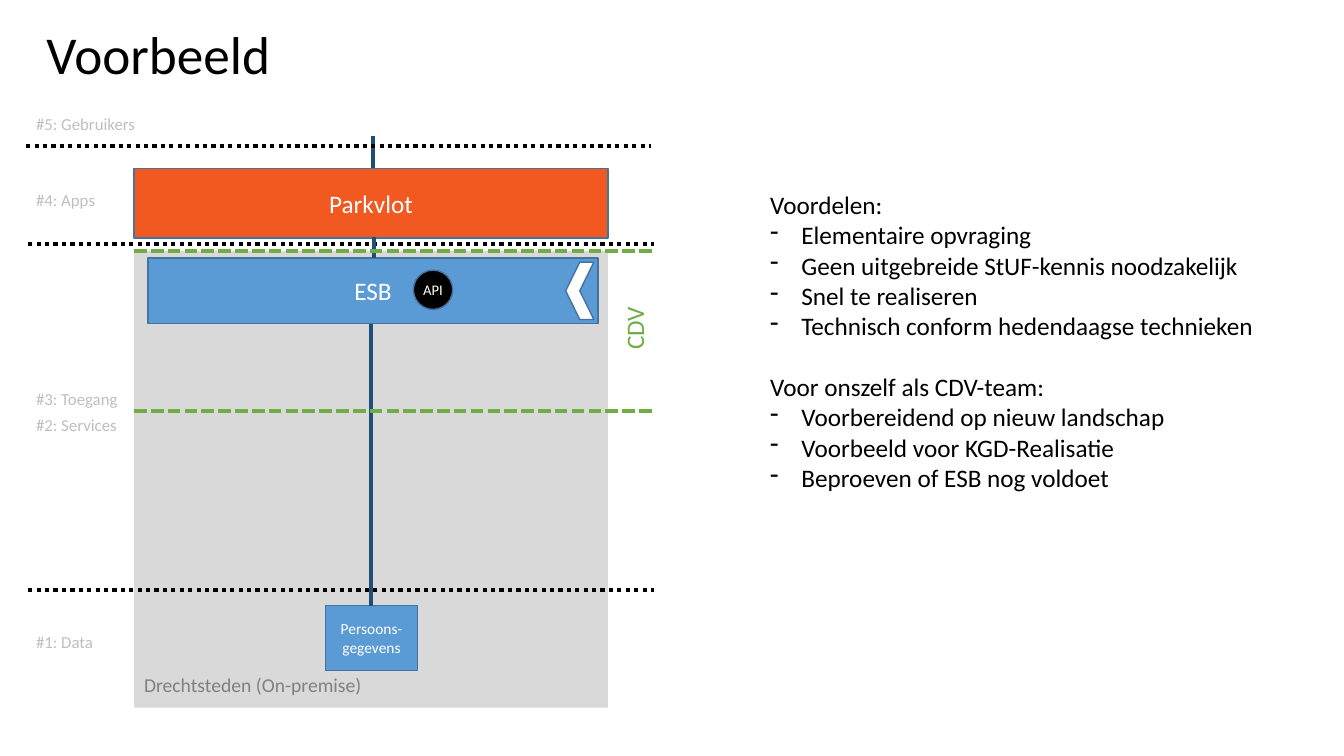
"""Builds the slide 'Voorbeeld': a layered architecture diagram with its benefits."""
from lxml import etree
from pptx import Presentation
from pptx.dml.color import RGBColor
from pptx.enum.dml import MSO_LINE
from pptx.enum.shapes import MSO_CONNECTOR, MSO_SHAPE
from pptx.enum.text import MSO_ANCHOR, PP_ALIGN
from pptx.oxml.ns import qn
from pptx.util import Pt

PX = 9144
FONT = "Calibri"
STRAIGHT = MSO_CONNECTOR.STRAIGHT
RECT, OVAL, CHEVRON = MSO_SHAPE.RECTANGLE, MSO_SHAPE.OVAL, MSO_SHAPE.CHEVRON
DOTS, DASHES = MSO_LINE.ROUND_DOT, MSO_LINE.SQUARE_DOT
LEFT, CENTER = PP_ALIGN.LEFT, PP_ALIGN.CENTER
MIDDLE = MSO_ANCHOR.MIDDLE

BLACK = RGBColor(0x00, 0x00, 0x00)
WHITE = RGBColor(0xFF, 0xFF, 0xFF)
BLUE = RGBColor(0x5B, 0x9B, 0xD5)
EDGE = RGBColor(0x43, 0x73, 0x9E)
NAVY = RGBColor(0x1F, 0x4E, 0x79)
GREEN = RGBColor(0x70, 0xAD, 0x47)
ORANGE = RGBColor(0xF1, 0x59, 0x21)
PANEL = RGBColor(0xD9, 0xD9, 0xD9)
PALE = RGBColor(0xBF, 0xBF, 0xBF)
GRAY = RGBColor(0x80, 0x80, 0x80)

LAYERS = [
    ("#5: Gebruikers", 108), ("#4: Apps", 183), ("#3: Toegang", 381),
    ("#2: Services", 407), ("#1: Data", 622),
]
BENEFITS = [
    ("Voordelen:", [
        "Elementaire opvraging",
        "Geen uitgebreide StUF-kennis noodzakelijk",
        "Snel te realiseren",
        "Technisch conform hedendaagse technieken",
    ]),
    ("Voor onszelf als CDV-team:", [
        "Voorbereidend op nieuw landschap",
        "Voorbeeld voor KGD-Realisatie",
        "Beproeven of ESB nog voldoet",
    ]),
]


def emu(*lengths):
    """Turn px lengths into EMU."""
    return [length * PX for length in lengths]


def style(paragraph, size, color, align=LEFT):
    """Set font and alignment of a paragraph."""
    paragraph.alignment = align
    paragraph.font.name = FONT
    paragraph.font.size = Pt(size)
    paragraph.font.color.rgb = color


def add_title(slide, text):
    """Place and fill the title."""
    title = slide.shapes.title
    title.left, title.top, title.width, title.height = emu(36, 21, 1134, 72)
    title.text_frame.text = text
    title.text_frame.vertical_anchor = MIDDLE
    heading = title.text_frame.paragraphs[0]
    heading.line_spacing = 0.9
    style(heading, 38, BLACK)


def add_block(slide, kind, box, fill, edge=EDGE, text="", size=18, inset=None):
    """Add a filled shape with optional outline and centred text."""
    block = slide.shapes.add_shape(kind, *emu(*box))
    block.shadow.inherit = False
    block.fill.solid()
    block.fill.fore_color.rgb = fill
    if edge is None:
        block.line.fill.background()
    else:
        block.line.color.rgb = edge
        block.line.width = Pt(1)
    frame = block.text_frame
    frame.vertical_anchor = MIDDLE
    if inset is not None:
        frame.margin_left = frame.margin_right = inset * PX
        frame.margin_top = frame.margin_bottom = inset * PX
    if text:
        frame.text = text
        style(frame.paragraphs[0], size, WHITE, CENTER)
    return block


def add_label(slide, box, text, size, color):
    """Add a one-line text box."""
    label = slide.shapes.add_textbox(*emu(*box))
    label.text_frame.word_wrap = True
    label.text_frame.text = text
    style(label.text_frame.paragraphs[0], size, color)
    return label


def add_line(slide, ends, color, dash=None):
    """Add a straight 3 pt line."""
    line = slide.shapes.add_connector(STRAIGHT, *emu(*ends))
    line.line.color.rgb = color
    line.line.width = Pt(3)
    if dash is not None:
        line.line.dash_style = dash
    etree.SubElement(line.element.spPr, qn("a:effectLst"))


def add_bullet(paragraph):
    """Give a paragraph a hanging dash."""
    properties = paragraph._p.get_or_add_pPr()
    properties.set("marL", str(31 * PX))
    properties.set("indent", str(-31 * PX))
    etree.SubElement(properties, qn("a:buChar")).set("char", "-")


def add_benefits(slide, box):
    """Write the headed lists of benefits."""
    frame = slide.shapes.add_textbox(*emu(*box)).text_frame
    frame.word_wrap = True
    for number, (heading, items) in enumerate(BENEFITS):
        paragraph = frame.add_paragraph() if number else frame.paragraphs[0]
        paragraph.text = heading
        style(paragraph, 18, BLACK)
        if number:
            paragraph.space_before = Pt(22)
        for item in items:
            paragraph = frame.add_paragraph()
            paragraph.text = item
            style(paragraph, 18, BLACK)
            add_bullet(paragraph)


def main():
    """Build and save the slide."""
    deck = Presentation()
    deck.slide_width, deck.slide_height = emu(1333, 750)
    slide = deck.slides.add_slide(deck.slide_layouts[5])
    add_title(slide, "Voorbeeld")

    add_block(slide, RECT, (133, 249, 470, 453), PANEL, edge=None)
    add_block(slide, RECT, (147, 256, 446, 65), BLUE, text="ESB")
    add_label(slide, (566, 274, 126, 40), "CDV", 18, GREEN).rotation = 270
    add_label(slide, (133, 663, 398, 34), "Drechtsteden (On-premise)", 14, GRAY)
    add_block(slide, RECT, (323, 601, 91, 64), BLUE, text="Persoons-gegevens", size=11)
    add_line(slide, (368, 321, 368, 601), NAVY)
    add_line(slide, (133, 408, 649, 408), GREEN, DASHES)
    add_line(slide, (28, 242, 649, 242), BLACK, DOTS)
    add_block(slide, RECT, (133, 167, 470, 69), ORANGE, text="Parkvlot")
    add_line(slide, (371, 235, 371, 256), NAVY)
    add_block(slide, CHEVRON, (561, 260, 28, 57), WHITE).rotation = 180
    add_line(slide, (133, 249, 649, 249), GREEN, DASHES)
    add_line(slide, (370, 135, 370, 167), NAVY)
    add_line(slide, (26, 145, 646, 145), BLACK, DOTS)
    add_line(slide, (28, 585, 649, 585), BLACK, DOTS)
    for layer, top in LAYERS:
        add_label(slide, (26, top, 142, 30), layer, 12, PALE)
    add_block(slide, OVAL, (410, 268, 39, 39), BLACK, text="API", size=10.5, inset=4)

    add_benefits(slide, (754, 183, 519, 374))
    deck.save("out.pptx")


if __name__ == "__main__":
    main()
